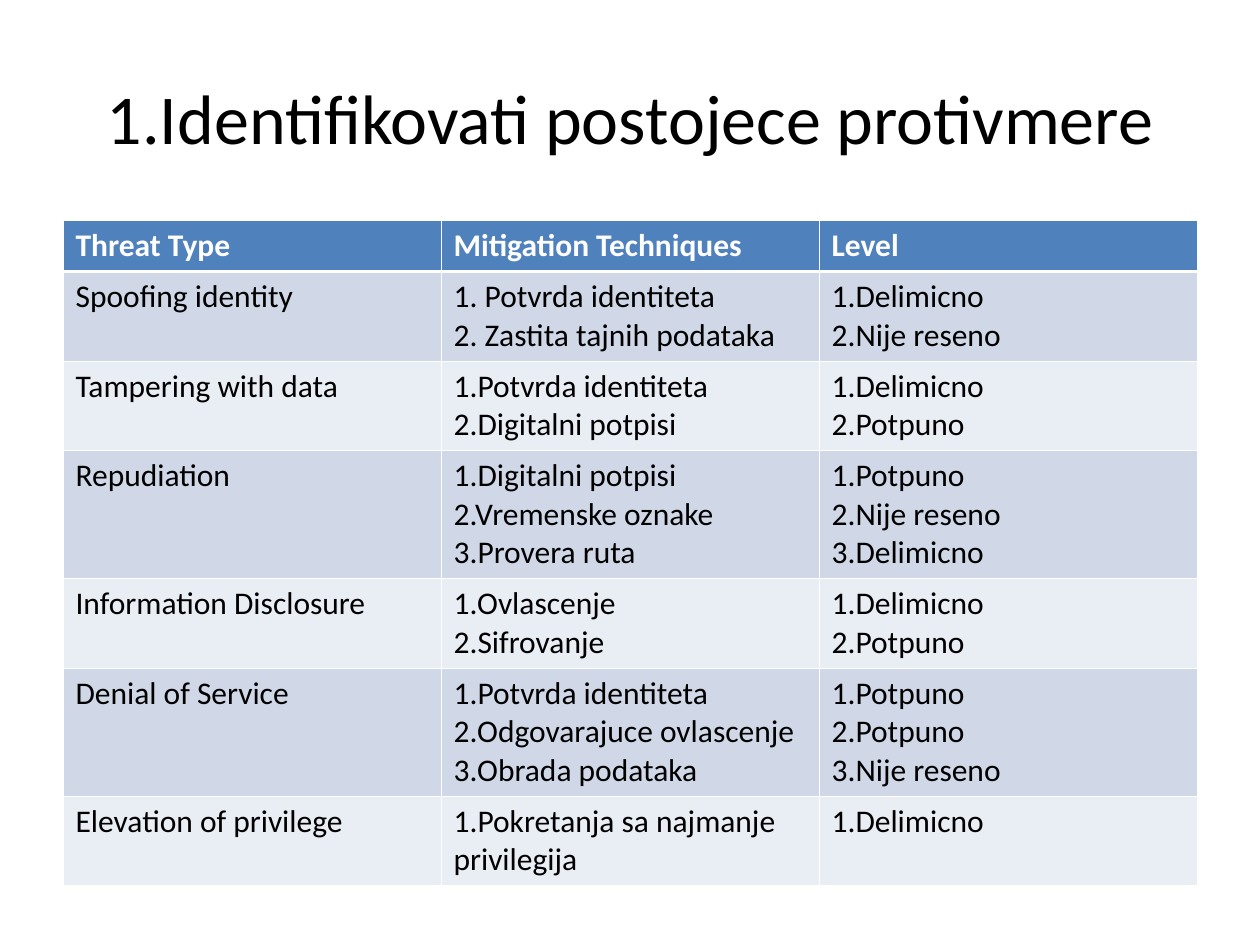
import pptx
import pptx.dml.color
import pptx.enum.text
import pptx.oxml.ns
import pptx.util
from lxml import etree
from pptx.util import Inches

TITLE = "1.Identifikovati postojece protivmere"
HEADINGS = ["Threat Type", "Mitigation Techniques", "Level"]
THREATS = [
    ("Spoofing identity",
     ["1. Potvrda identiteta", "2. Zastita tajnih podataka"],
     ["1.Delimicno", "2.Nije reseno"]),
    ("Tampering with data",
     ["1.Potvrda identiteta", "2.Digitalni potpisi"],
     ["1.Delimicno", "2.Potpuno"]),
    ("Repudiation",
     ["1.Digitalni potpisi", "2.Vremenske oznake", "3.Provera ruta"],
     ["1.Potpuno", "2.Nije reseno", "3.Delimicno"]),
    ("Information Disclosure",
     ["1.Ovlascenje", "2.Sifrovanje"],
     ["1.Delimicno", "2.Potpuno"]),
    ("Denial of Service",
     ["1.Potvrda identiteta", "2.Odgovarajuce ovlascenje", "3.Obrada podataka"],
     ["1.Potpuno", "2.Potpuno", "3.Nije reseno"]),
    ("Elevation of privilege",
     ["1.Pokretanja sa najmanje privilegija"],
     ["1.Delimicno"]),
]

THEME = {
    "font": "Calibri",
    "title_size": 40, "table_size": 18,
    "text": "000000", "heading_text": "FFFFFF",
    "heading_fill": "4F81BD", "bands": ["D0D8E8", "E9EDF4"],
    "border": "FFFFFF", "thin": 0.45, "thick": 1.47,
}
LEFT, WIDTH = 0.5, 9
TABLE_TOP, HEADING_HEIGHT = 1.75, 0.4
LINE_HEIGHT, CELL_PADDING = 0.3, 0.1
MIN_LINES = 2  # the last technique wraps onto a second line


def write(frame, lines, size, color, bold=False, align=pptx.enum.text.PP_ALIGN.LEFT):
    for index, line in enumerate(lines):
        para = frame.paragraphs[0] if index == 0 else frame.add_paragraph()
        para.alignment = align
        span = para.add_run()
        span.text = line
        span.font.name = THEME["font"]
        span.font.size = pptx.util.Pt(size)
        span.font.bold = bold
        span.font.color.rgb = pptx.dml.color.RGBColor.from_string(color)


def add_borders(cell, top, bottom):
    properties = cell._tc.get_or_add_tcPr()
    widths = {"L": THEME["thin"], "R": THEME["thin"], "T": top, "B": bottom}
    for side, width in widths.items():
        line = etree.SubElement(properties, pptx.oxml.ns.qn(f"a:ln{side}"),
                                w=str(int(pptx.util.Pt(width))))
        fill = etree.SubElement(line, pptx.oxml.ns.qn("a:solidFill"))
        etree.SubElement(fill, pptx.oxml.ns.qn("a:srgbClr"), val=THEME["border"])


def add_title(page):
    box = page.shapes.title
    box.left, box.top = Inches(LEFT), Inches(0.3)
    box.width, box.height = Inches(WIDTH), Inches(1.25)
    box.text_frame.vertical_anchor = pptx.enum.text.MSO_ANCHOR.MIDDLE
    write(box.text_frame, [TITLE], THEME["title_size"], THEME["text"],
          align=pptx.enum.text.PP_ALIGN.CENTER)


def add_threat_table(page):
    rows = [[[heading] for heading in HEADINGS]]
    rows += [[[threat], techniques, levels] for threat, techniques, levels in THREATS]
    heights = [HEADING_HEIGHT] + [
        CELL_PADDING + LINE_HEIGHT * max(MIN_LINES, *map(len, row)) for row in rows[1:]]
    table = page.shapes.add_table(
        len(rows), len(HEADINGS), Inches(LEFT), Inches(TABLE_TOP),
        Inches(WIDTH), Inches(sum(heights))).table
    for column in table.columns:
        column.width = Inches(WIDTH / len(HEADINGS))

    for row_index, row in enumerate(rows):
        table.rows[row_index].height = Inches(heights[row_index])
        is_heading = row_index == 0
        fill = THEME["heading_fill"] if is_heading else THEME["bands"][(row_index - 1) % 2]
        color = THEME["heading_text"] if is_heading else THEME["text"]
        top = THEME["thick"] if row_index == 1 else THEME["thin"]
        bottom = THEME["thick"] if is_heading else THEME["thin"]
        for column_index, lines in enumerate(row):
            cell = table.cell(row_index, column_index)
            add_borders(cell, top, bottom)
            cell.fill.solid()
            cell.fill.fore_color.rgb = pptx.dml.color.RGBColor.from_string(fill)
            write(cell.text_frame, lines, THEME["table_size"], color, bold=is_heading)


def main():
    deck = pptx.Presentation()
    deck.slide_width, deck.slide_height = Inches(10), Inches(7.5)
    page = deck.slides.add_slide(deck.slide_layouts[5])
    add_title(page)
    add_threat_table(page)
    deck.save("out.pptx")


if __name__ == "__main__":
    main()
